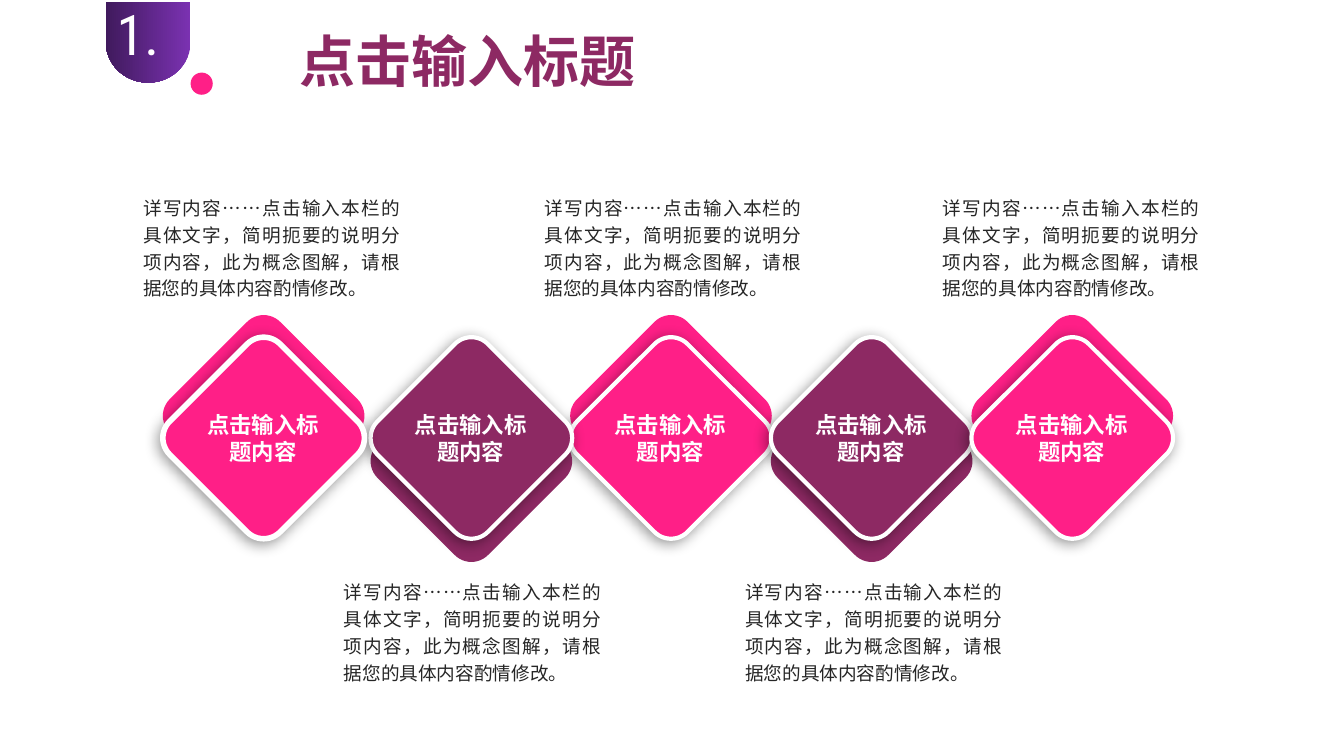
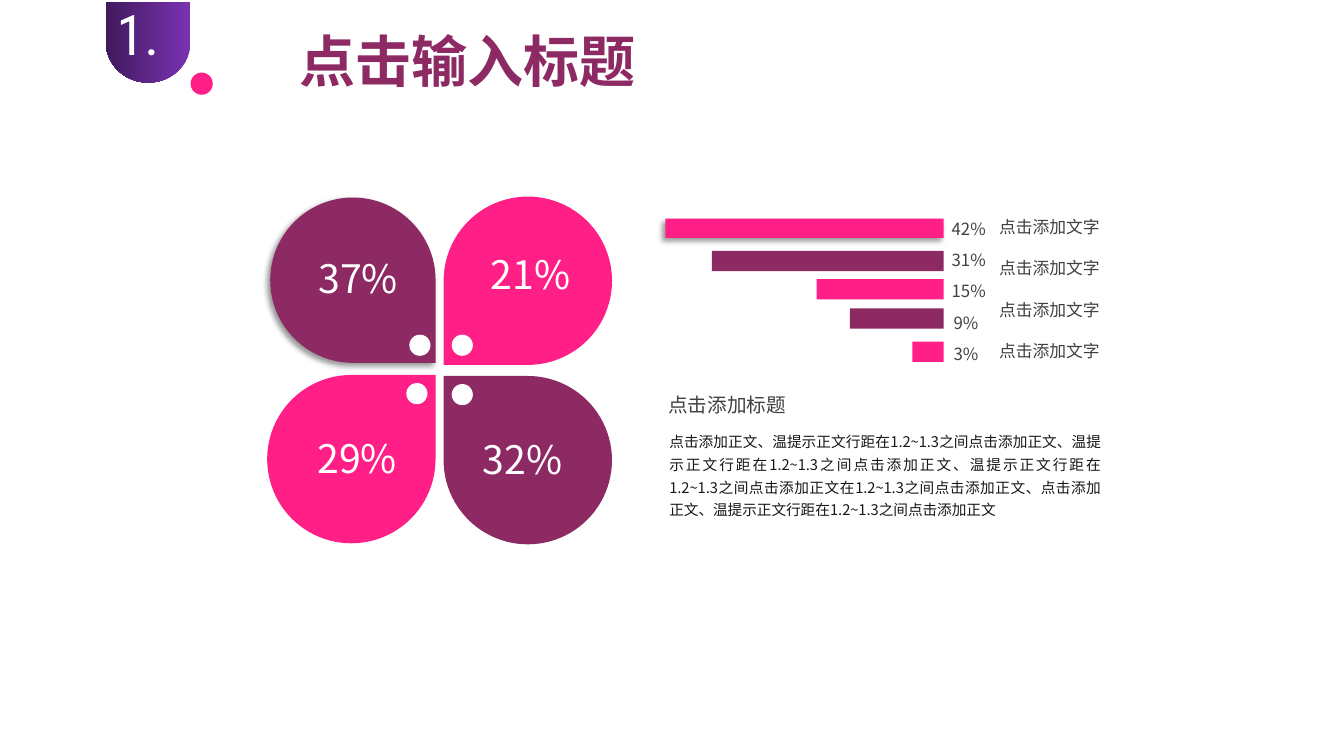
from lxml.etree import SubElement as Sub
from pptx import Presentation
from pptx.dml.color import RGBColor
from pptx.enum.shapes import MSO_SHAPE as Kind
from pptx.enum.text import MSO_ANCHOR as Anchor, MSO_AUTO_SIZE as Fit, PP_ALIGN as Align
from pptx.oxml.ns import qn
from pptx.util import Pt

PX = 9144
PINK = "FF1F87"
PLUM = "8D2963"
WHITE = "FFFFFF"
GREY = "404040"
SANS = "Noto Sans CJK SC"
rgb = RGBColor.from_string


def put(slide, kind, box, fill, turn=0, edge=0, blur=0):
    shape = slide.shapes.add_shape(kind, *[n * PX for n in box])
    shape.rotation = turn
    shape.fill.solid()
    shape.fill.fore_color.rgb = rgb(fill)
    if edge:
        shape.line.color.rgb = rgb(WHITE)
        shape.line.width = Pt(edge)
    else:
        shape.line.fill.background()
    shape.shadow.inherit = False
    if blur:
        glow = Sub(shape.element.spPr.find(qn("a:effectLst")), qn("a:outerShdw"),
                   blurRad=str(Pt(blur)), dist=str(Pt(3)), dir="8100000",
                   algn="tr", rotWithShape="0")
        tone = Sub(glow, qn("a:srgbClr"), val="000000")
        Sub(tone, qn("a:alpha"), val="40000")
    return shape


def write(slide, box, words, size, color, face=SANS, bold=False, wrap=False,
          align=Align.LEFT, space=None):
    frame = slide.shapes.add_textbox(*[n * PX for n in box]).text_frame
    frame.word_wrap = wrap
    frame.auto_size = Fit.NONE if wrap else Fit.SHAPE_TO_FIT_TEXT
    para = frame.paragraphs[0]
    para.alignment = align
    if space:
        para.line_spacing = space
    run = para.add_run()
    run.text = words
    font = run.font
    font.name = face
    font.size = Pt(size)
    font.bold = bold
    font.color.rgb = rgb(color)
    Sub(run._r.get_or_add_rPr(), qn("a:ea"), typeface=face)
    return frame


deck = Presentation()
deck.slide_width = 1333 * PX
deck.slide_height = 750 * PX
steps, stats = [deck.slides.add_slide(deck.slide_layouts[6]) for _ in range(2)]

for slide in (steps, stats):
    write(slide, (287, 21, 373, 77), "点击输入标题", 40, PLUM, bold=True)
    badge = put(slide, Kind.FLOWCHART_DELAY, (107, 0, 80, 84), PLUM, 90)
    badge.fill.gradient()
    badge.fill.gradient_angle = 270
    for stop, tone in zip(badge.fill.gradient_stops, ("7B32B2", "401A5D")):
        stop.color.rgb = rgb(tone)
    write(slide, (106, -5, 73, 77), "1.", 40, WHITE, "Roboto Condensed", wrap=True)
    put(slide, Kind.OVAL, (189, 72, 22, 22), PINK)

SIDE = 155
NOTE = "详写内容……点击输入本栏的具体文字，简明扼要的说明分项内容，此为概念图解，请根据您的具体内容酌情修改。"
lefts = (184, 390, 588, 787, 986)
notes = (142, 341, 540, 739, 935)
for i in (2, 1, 0, 3, 4):
    left = lefts[i]
    if i % 2:
        fill, turn, back, top = PLUM, 135, 380, 572
    else:
        fill, turn, back, top = PINK, 315, 335, 191
    for y, edge, blur in ((back, 0, 0), (357, 3 if i else 4, 10)):
        tile = put(steps, Kind.ROUNDED_RECTANGLE, (left, y, SIDE, SIDE), fill, turn, edge, blur)
        tile.adjustments[0] = 0.15
    name = write(steps, (left + 11, 420, 132, 29), "点击输入标题内容", 16, WHITE,
                 bold=True, wrap=True, align=Align.CENTER)
    name.vertical_anchor = Anchor.MIDDLE
    note = write(steps, (notes[i], top, 255, 108), NOTE, 13.3, "262626",
                 wrap=True, align=Align.JUSTIFY, space=1.2)
    note.margin_left = note.margin_right = note.margin_top = note.margin_bottom = 0

write(stats, (653, 385, 138, 34), "点击添加标题", 14, GREY)
write(stats, (654, 419, 448, 102),
      "点击添加正文、温提示正文行距在1.2~1.3之间点击添加正文、温提示正文行距在1.2~1.3之间"
      "点击添加正文、温提示正文行距在1.2~1.3之间点击添加正文在1.2~1.3之间点击添加正文、"
      "点击添加正文、温提示正文行距在1.2~1.3之间点击添加正文",
      10.5, "181717", wrap=True, align=Align.JUSTIFY, space=1.3)

bars = (
    ("42%", 217, 276, 19, 934, 58),
    ("31%", 249, 230, 20, 934, 55),
    ("15%", 277, 126, 20, 934, 55),
    ("9%", 306, 93, 20, 936, 48),
    ("3%", 339, 31, 20, 936, 48),
)
for i, (share, top, width, height, left, room) in enumerate(bars):
    put(stats, Kind.RECTANGLE, (936 - width, top, width, height),
        PLUM if i % 2 else PINK, blur=0 if i else 4)
    write(stats, (left, 212 + 31 * i, room, 30), share, 12, GREY)

for i in range(4):
    write(stats, (981, 210 + 41 * i, 121, 30), "点击添加文字", 12, GREY)

petals = (
    ("21%", (440, 195), 167, PINK, 180, 0, (448, 332), (477, 243, 101, 57)),
    ("37%", (268, 196), 164, PLUM, 90, 4, (406, 332), (306, 247, 108, 57)),
    ("29%", (265, 372), 167, PINK, 0, 0, (403, 380), (305, 426, 109, 57)),
    ("32%", (440, 373), 167, PLUM, 270, 0, (448, 381), (469, 427, 110, 57)),
)
for share, spot, size, fill, turn, blur, hole, box in petals:
    put(stats, Kind.TEAR, (*spot, size, size), fill, turn, blur=blur)
    put(stats, Kind.OVAL, (*hole, 21, 21), WHITE)
    write(stats, box, share, 28, WHITE)

deck.save("out.pptx")
